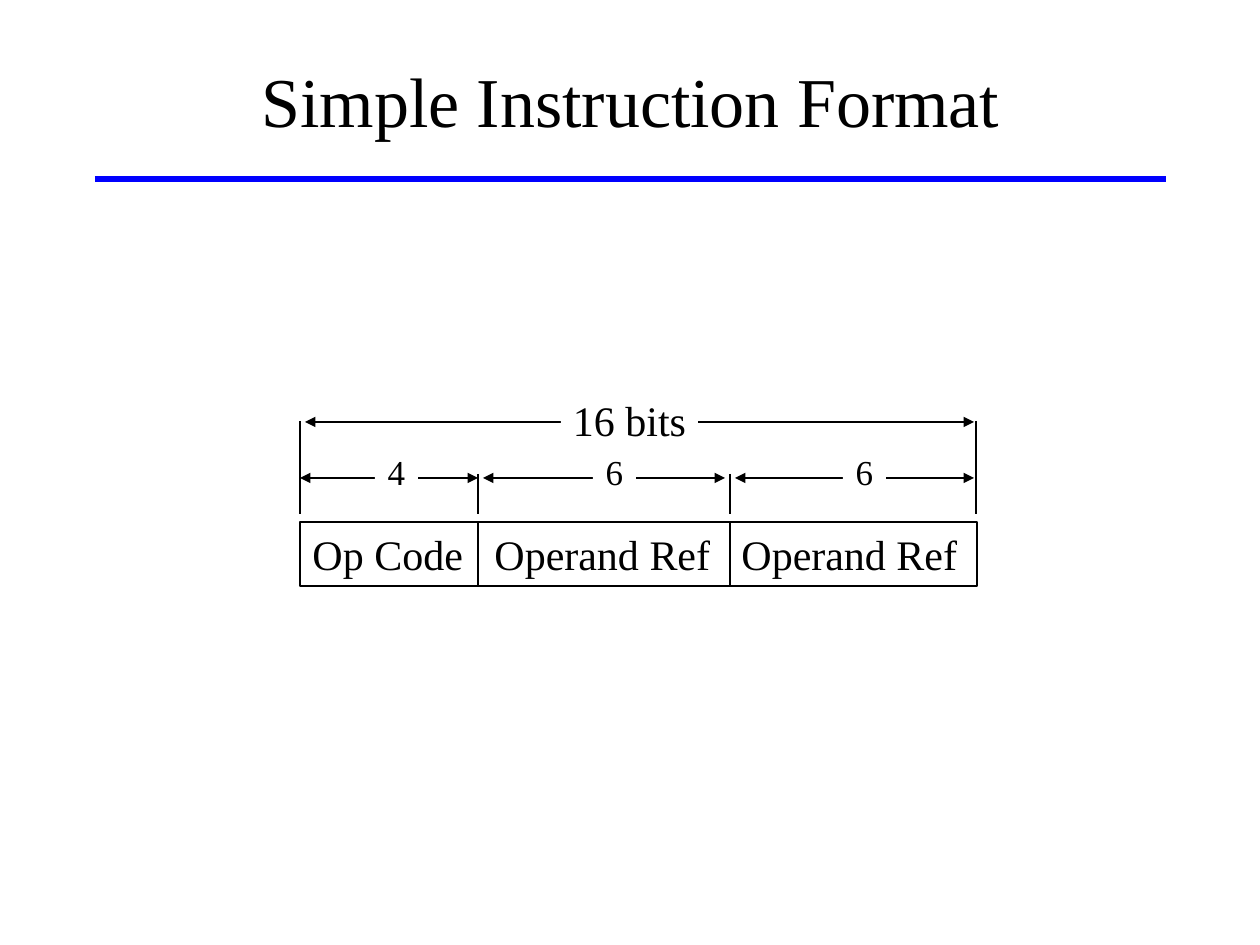
from lxml.etree import SubElement
from pptx import Presentation
from pptx.dml.color import RGBColor
from pptx.enum.shapes import MSO_CONNECTOR, MSO_SHAPE
from pptx.enum.text import MSO_ANCHOR, PP_ALIGN
from pptx.oxml.ns import qn
from pptx.util import Emu, Pt

SCALE = 914400 // 126
BLACK = RGBColor(0, 0, 0)
WHITE = RGBColor(255, 255, 255)
BLUE = RGBColor(0, 0, 255)


def px(*lengths):
    return [Emu(length * SCALE) for length in lengths]


def set_attributes(target, values):
    for name, value in values.items():
        setattr(target, name, value)


def add_line(shapes, start, end, color=BLACK, width=0.75, arrows=False):
    line = shapes.add_connector(MSO_CONNECTOR.STRAIGHT, *px(*start, *end))
    line.line.color.rgb = color
    line.line.width = Pt(width)
    if arrows:
        outline = line.line._get_or_add_ln()
        for tag in ("a:headEnd", "a:tailEnd"):
            SubElement(outline, qn(tag), type="triangle")
    SubElement(line._element.spPr, qn("a:effectLst"))


def write_text(shape, text, size, align=PP_ALIGN.CENTER, wrap=True):
    frame = shape.text_frame
    set_attributes(frame, {"word_wrap": wrap, "vertical_anchor": MSO_ANCHOR.MIDDLE})
    paragraph = frame.paragraphs[0]
    paragraph.alignment = align
    run = paragraph.add_run()
    run.text = text
    set_attributes(run.font, {"name": "Times New Roman", "size": Pt(size)})
    run.font.color.rgb = BLACK
    return paragraph


def add_box(shapes, box):
    shape = shapes.add_shape(MSO_SHAPE.RECTANGLE, *px(*box))
    shape.shadow.inherit = False
    return shape


def add_label(shapes, box, text, size):
    label = add_box(shapes, box)
    label.fill.solid()
    label.fill.fore_color.rgb = WHITE
    label.line.fill.background()
    write_text(label, text, size, wrap=False)


def add_title(slide, box, text):
    left, top, width, height = box
    add_line(slide.shapes, (left, top + height), (left + width, top + height), BLUE, 3)
    write_text(slide.shapes.add_textbox(*px(*box)), text, 40)


def add_instruction_word(shapes, box, names, dividers, tabs):
    left, top, width, height = box
    word = add_box(shapes, box)
    word.fill.background()
    word.line.color.rgb = BLACK
    word.line.width = Pt(0.75)
    paragraph = write_text(word, "\t".join(names), 24, PP_ALIGN.LEFT)
    tab_list = SubElement(paragraph._p.get_or_add_pPr(), qn("a:tabLst"))
    for tab in tabs:
        SubElement(tab_list, qn("a:tab"), pos=str(tab * SCALE), algn="l")
    for divider in dividers:
        x = left + divider
        add_line(shapes, (x, top + height), (x, top + 1))


def add_format_diagram(slide, box):
    left, top, width, height = box
    bottom = top + height
    shapes = slide.shapes.add_group_shape().shapes
    dividers = (178, 430)
    names = ("Op Code", "Operand Ref", "Operand Ref")
    add_instruction_word(shapes, (left, bottom - 64, width, 64), names, dividers, (182, 429))

    ticks = [(0, 33), (width - 1, 33), *((divider, 86) for divider in dividers)]
    for x, y in ticks:
        add_line(shapes, (left + x, top + y), (left + x, top + 126))

    spans = [
        ("16 bits", 24, 5, width - 3, 34, (261, 0, 137, 63)),
        ("4", 20, 0, 178, 90, (75, 57, 43, 54)),
        ("6", 20, 183, 425, 90, (293, 57, 43, 54)),
        ("6", 20, 435, width - 3, 90, (543, 57, 43, 54)),
    ]
    for text, size, start, end, y, (x, label_top, label_width, label_height) in spans:
        add_line(shapes, (left + start, top + y), (left + end, top + y), arrows=True)
        add_label(shapes, (left + x, top + label_top, label_width, label_height), text, size)


presentation = Presentation()
set_attributes(presentation, dict(zip(("slide_width", "slide_height"), px(1260, 945))))
slide = presentation.slides.add_slide(presentation.slide_layouts[6])
add_title(slide, (95, 21, 1071, 158), "Simple Instruction Format")
add_format_diagram(slide, (300, 388, 677, 198))
presentation.save("out.pptx")
